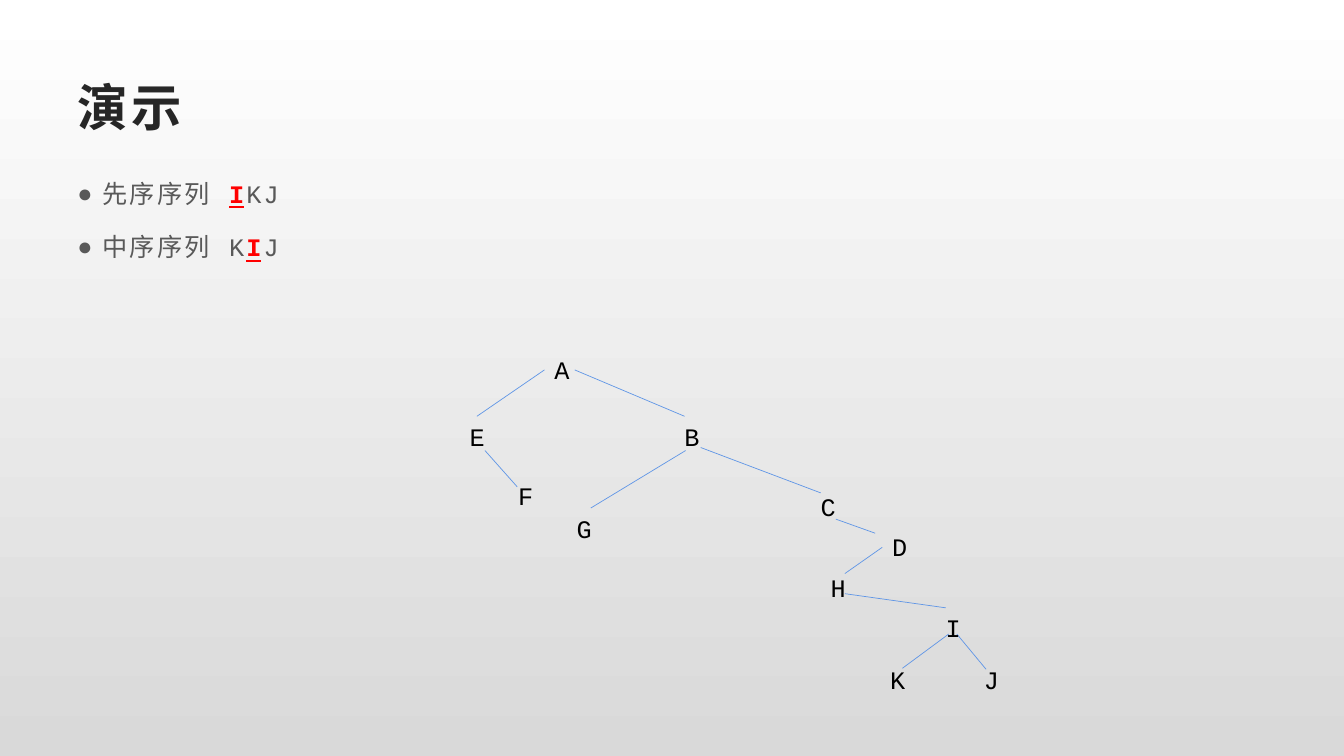
from dataclasses import dataclass

from lxml import etree
from pptx import Presentation
from pptx.dml.color import RGBColor
from pptx.enum.shapes import MSO_CONNECTOR
from pptx.enum.text import MSO_ANCHOR, MSO_AUTO_SIZE
from pptx.oxml.ns import qn
from pptx.util import Inches, Length, Pt

STRAIGHT = MSO_CONNECTOR.STRAIGHT
MIDDLE = MSO_ANCHOR.MIDDLE
TOP = MSO_ANCHOR.TOP
GROW = MSO_AUTO_SIZE.SHAPE_TO_FIT_TEXT

FACE = "Courier New"
CELL = 0.1
NARROW = 3.4
WIDE = 11.4
INK, GREY, BLACK, RED, BLUE = "262626", "595959", "000000", "FF0000", "6096E6"


@dataclass
class Node:
    name: str
    col: float
    row: float
    cols: float = NARROW


@dataclass
class Edge:
    col: float
    row: float
    to_col: float
    to_row: float


@dataclass
class Part:
    text: str
    root: bool = False


NODES = [
    Node("A", 54, 34.7, WIDE),
    Node("E", 45.6, 41.3, WIDE),
    Node("B", 66.9, 41.3, WIDE),
    Node("F", 50.4, 47.2),
    Node("G", 56.2, 50.4, 4.8),
    Node("C", 80.4, 48.3, WIDE),
    Node("D", 87.5, 52.2),
    Node("H", 81.4, 56.3),
    Node("I", 92.8, 60.3),
    Node("K", 87.3, 65.4),
    Node("J", 96.6, 65.4),
]

EDGES = [
    Edge(54, 36.7, 47.3, 41.3),
    Edge(57, 36.7, 67.9, 41.3),
    Edge(48.1, 44.7, 51.3, 48.3),
    Edge(68, 44.7, 58.6, 50.4),
    Edge(69.5, 44.4, 81.4, 48.9),
    Edge(82.9, 51.5, 86.8, 52.9),
    Edge(87.5, 54.3, 83.8, 56.9),
    Edge(83.8, 58.9, 93.8, 60.3),
    Edge(94.1, 62.9, 89.5, 66.3),
    Edge(94.9, 62.9, 97.8, 66.4),
]

ORDERS = [
    [Part("先序序列 "), Part("I", True), Part("KJ")],
    [Part("中序序列 K"), Part("I", True), Part("J")],
]


def grid(count: float) -> Length:
    return Inches(count * CELL)


def tint(code: str) -> RGBColor:
    return RGBColor.from_string(code)


def add_box(slide, col: float, row: float, cols: float, rows: float,
            anchor=TOP, wrap: bool = True):
    box = slide.shapes.add_textbox(grid(col), grid(row), grid(cols), grid(rows))
    frame = box.text_frame
    frame.word_wrap = wrap
    frame.vertical_anchor = anchor
    return frame


def add_run(para, text: str, size: float, code: str, bold: bool = False,
            line: bool = False, space: float = 0) -> None:
    run = para.add_run()
    run.text = text
    font = run.font
    font.name, font.size = FACE, Pt(size)
    font.bold, font.underline = bold, line
    font.color.rgb = tint(code)
    props = run._r.get_or_add_rPr()
    if space:
        props.set("spc", str(int(space * 100)))
    etree.SubElement(props, qn("a:ea")).set("typeface", FACE)


def add_dot(para) -> None:
    props = para._p.get_or_add_pPr()
    props.set("marL", str(Inches(0.25)))
    props.set("indent", str(Inches(-0.25)))
    etree.SubElement(props, qn("a:buFont")).set("typeface", "Arial")
    etree.SubElement(props, qn("a:buChar")).set("char", "●")


def add_order(para, parts: list[Part]) -> None:
    add_dot(para)
    para.line_spacing = 1.3
    para.space_after = Pt(10)
    for part in parts:
        code = RED if part.root else GREY
        add_run(para, part.text, 18, code, part.root, part.root, 1.5)


def add_node(slide, node: Node) -> None:
    frame = add_box(slide, node.col, node.row, node.cols, 4,
                    wrap=node.cols > NARROW)
    frame.auto_size = GROW
    add_run(frame.paragraphs[0], node.name, 18, BLACK)


def add_edge(slide, edge: Edge) -> None:
    line = slide.shapes.add_connector(
        STRAIGHT, grid(edge.col), grid(edge.row),
        grid(edge.to_col), grid(edge.to_row))
    line.line.color.rgb = tint(BLUE)
    line.line.width = Pt(0.5)
    etree.SubElement(line._element.spPr, qn("a:effectLst"))


def shade(slide) -> None:
    fill = slide.background.fill
    fill.gradient()
    fill.gradient_angle = 270
    for stop, code, place in zip(fill.gradient_stops, ("FFFFFF", "D9D9D9"), (0, 1)):
        stop.color.rgb = tint(code)
        stop.position = place


def main() -> None:
    deck = Presentation()
    deck.slide_width, deck.slide_height = Inches(13.33), Inches(7.5)
    slide = deck.slides.add_slide(deck.slide_layouts[6])
    shade(slide)

    title = add_box(slide, 6.7, 6.7, 120, 7.7, MIDDLE)
    add_run(title.paragraphs[0], "演示", 36, INK, bold=True, space=3)

    body = add_box(slide, 6.7, 16.3, 120, 52)
    for spot, parts in enumerate(ORDERS):
        para = body.add_paragraph() if spot else body.paragraphs[0]
        add_order(para, parts)

    for edge in EDGES:
        add_edge(slide, edge)
    for node in NODES:
        add_node(slide, node)
    deck.save("out.pptx")


if __name__ == "__main__":
    main()
